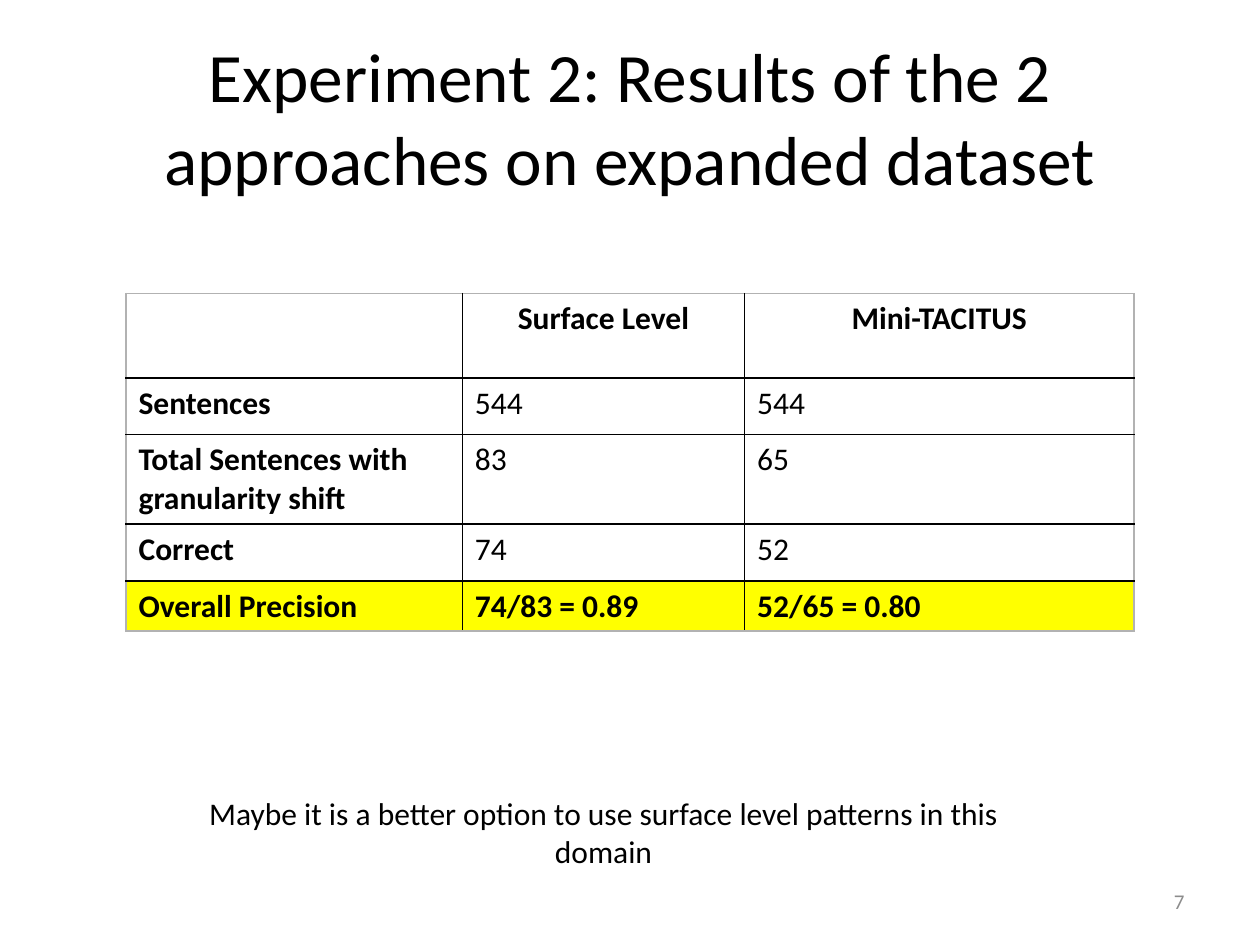
from dataclasses import dataclass

from lxml.etree import SubElement
from pptx import Presentation
from pptx.dml.color import RGBColor
from pptx.enum.text import MSO_ANCHOR, PP_ALIGN
from pptx.oxml.ns import qn
from pptx.util import Inches, Pt


@dataclass(frozen=True)
class Theme:
    font: str = "Calibri"
    ink: str = "000000"
    muted: str = "8C8C8C"
    frame: str = "B2B2B2"
    highlight: str = "FFFF00"
    title_size: float = 39.6
    body_size: float = 18
    number_size: float = 12
    rule_width: float = 1


THEME = Theme()

RESULTS = [
    ("", "Surface Level", "Mini-TACITUS"),
    ("Sentences", "544", "544"),
    ("Total Sentences with granularity shift", "83", "65"),
    ("Correct", "74", "52"),
    ("Overall Precision", "74/83 = 0.89", "52/65 = 0.80"),
]
COLUMN_WIDTHS = (2.67, 2.24, 3.09)
ROW_HEIGHTS = (0.67, 0.45, 0.71, 0.45, 0.4)


def write(frame, text, size=THEME.body_size, color=THEME.ink, bold=False,
          align=PP_ALIGN.LEFT):
    paragraph = frame.paragraphs[0]
    paragraph.alignment = align
    paragraph.font.size = Pt(size)
    if text:
        run = paragraph.add_run()
        run.text = text
        run.font.name = THEME.font
        run.font.size = Pt(size)
        run.font.bold = bold
        run.font.color.rgb = RGBColor.from_string(color)


def add_text(slide, box, text, anchor=MSO_ANCHOR.TOP, **text_format):
    frame = slide.shapes.add_textbox(*map(Inches, box)).text_frame
    frame.word_wrap = True
    frame.vertical_anchor = anchor
    write(frame, text, **text_format)


def add_borders(cell, outer_sides):
    """Rule all four sides, in the frame colour where the cell meets the table edge."""
    properties = cell._tc.get_or_add_tcPr()
    for side, is_outer in outer_sides.items():
        line = SubElement(properties, qn(f"a:ln{side}"),
                          w=str(Pt(THEME.rule_width)))
        fill = SubElement(line, qn("a:solidFill"))
        SubElement(fill, qn("a:srgbClr"),
                   val=THEME.frame if is_outer else THEME.ink)


def add_results_table(slide, box):
    last_row, last_column = len(RESULTS) - 1, len(COLUMN_WIDTHS) - 1
    table = slide.shapes.add_table(len(RESULTS), len(COLUMN_WIDTHS),
                                   *map(Inches, box)).table
    table.first_row = table.horz_banding = False
    for column, width in zip(table.columns, COLUMN_WIDTHS):
        column.width = Inches(width)
    for row, height in zip(table.rows, ROW_HEIGHTS):
        row.height = Inches(height)

    for r, values in enumerate(RESULTS):
        for c, value in enumerate(values):
            cell = table.cell(r, c)
            add_borders(cell, {"L": c == 0, "R": c == last_column,
                               "T": r == 0, "B": r == last_row})
            if r == last_row:
                cell.fill.solid()
                cell.fill.fore_color.rgb = RGBColor.from_string(THEME.highlight)
            else:
                cell.fill.background()
            write(cell.text_frame, value,
                  bold=r in (0, last_row) or c == 0,
                  align=PP_ALIGN.CENTER if r == 0 else PP_ALIGN.LEFT)


def main():
    presentation = Presentation()
    presentation.slide_width = Inches(10)
    presentation.slide_height = Inches(7.5)
    slide = presentation.slides.add_slide(presentation.slide_layouts[6])

    add_text(slide, (0.5, 0.3, 9, 1.25),
             "Experiment 2: Results of the 2 approaches on expanded dataset",
             anchor=MSO_ANCHOR.MIDDLE, size=THEME.title_size,
             align=PP_ALIGN.CENTER)
    add_results_table(slide, (1, 2.33, 8, sum(ROW_HEIGHTS)))
    add_text(slide, (7.17, 6.95, 2.33, 0.4), "7", anchor=MSO_ANCHOR.MIDDLE,
             size=THEME.number_size, color=THEME.muted, align=PP_ALIGN.RIGHT)
    add_text(slide, (1.25, 6.25, 7.08, 0.71),
             "Maybe it is a better option to use surface level patterns "
             "in this domain", align=PP_ALIGN.CENTER)

    presentation.save("out.pptx")


if __name__ == "__main__":
    main()
